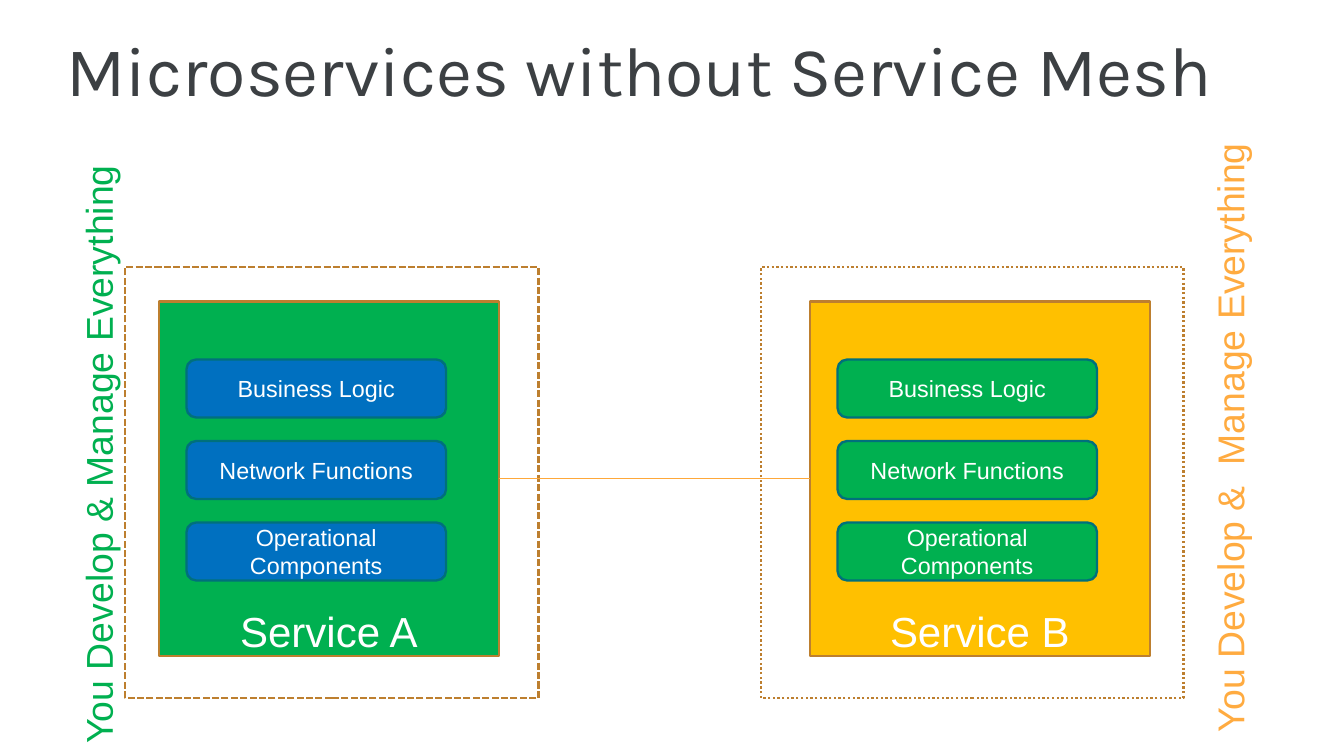
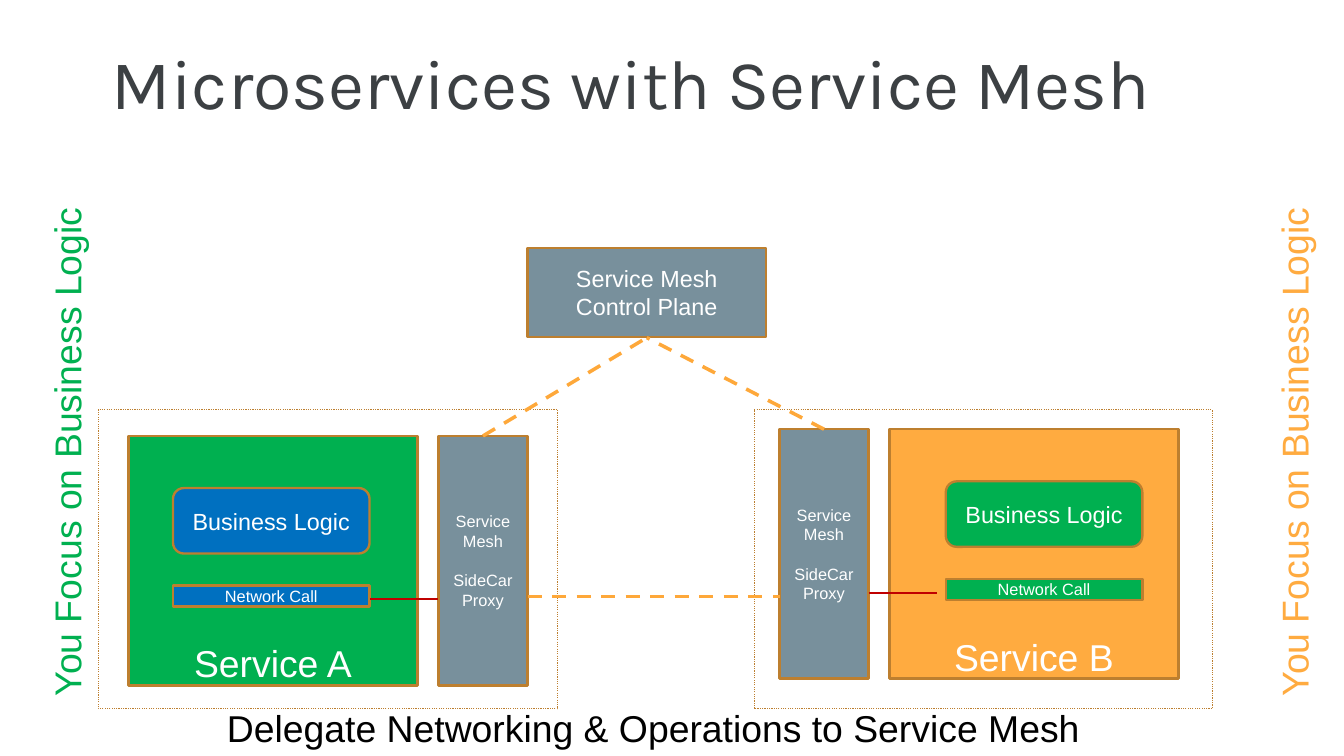
from dataclasses import dataclass
from typing import Optional

from lxml import etree
from pptx import Presentation
from pptx.dml.color import RGBColor
from pptx.enum import dml, shapes, text
from pptx.oxml import ns
from pptx.util import Inches, Pt

# Slide grid: lengths below are columns and rows
WIDTH, HEIGHT = Inches(16), Inches(9)
COLUMNS, ROWS = 160, 90

COLORS = {
    "white": "FFFFFF", "black": "000000", "title": "3C4043",
    "green": "00B050", "blue": "0070C0", "gold": "FFC000",
    "orange": "FFAB40", "slate": "78909C", "brown": "BD7F2F",
    "teal": "00707C", "link": "FEA83A", "red": "C00000",
}
TITLE_FONT, BODY_FONT = "Karla", "Arial"
RECT = shapes.MSO_SHAPE.RECTANGLE
ROUNDED = shapes.MSO_SHAPE.ROUNDED_RECTANGLE
DASH = dml.MSO_LINE.DASH
SYS_DOT, SYS_DASH = dml.MSO_LINE.ROUND_DOT, dml.MSO_LINE.SQUARE_DOT
MIDDLE, BOTTOM = text.MSO_ANCHOR.MIDDLE, text.MSO_ANCHOR.BOTTOM


@dataclass(frozen=True)
class Area:
    left: float
    top: float
    width: float
    height: float

    def emu(self) -> tuple[int, int, int, int]:
        return (across(self.left), down(self.top),
                across(self.width), down(self.height))


@dataclass(frozen=True)
class Box:
    area: Area
    fill: str
    label: str = ""
    size: float = 20
    outline: str = "brown"
    weight: float = 2
    dash: Optional[dml.MSO_LINE] = None
    kind: shapes.MSO_SHAPE = RECT
    anchor: text.MSO_ANCHOR = MIDDLE


@dataclass(frozen=True)
class Link:
    start: tuple[float, float]
    end: tuple[float, float]
    color: str = "link"
    weight: float = 3
    dash: Optional[dml.MSO_LINE] = None


@dataclass(frozen=True)
class Caption:
    area: Area
    label: str
    color: str
    upright: bool = True


@dataclass(frozen=True)
class Service:
    name: str
    left: float
    top: float
    fill: str
    task_fill: str
    task_left: float
    sidecar_left: float = 0


def across(columns: float) -> int:
    return round(WIDTH * columns / COLUMNS)


def down(rows: float) -> int:
    return round(HEIGHT * rows / ROWS)


def rgb(name: str) -> RGBColor:
    return RGBColor.from_string(COLORS[name])


def format_runs(frame, font: str, size: float, color: str, align) -> None:
    for paragraph in frame.paragraphs:
        paragraph.alignment = align
        for run in paragraph.runs:
            run.font.name, run.font.size = font, Pt(size)
            run.font.color.rgb = rgb(color)


def format_line(line, color: str, weight: float, dash) -> None:
    line.color.rgb = rgb(color)
    line.width = Pt(weight)
    if dash is not None:
        line.dash_style = dash


def draw_box(slide, box: Box):
    shape = slide.shapes.add_shape(box.kind, *box.area.emu())
    shape.shadow.inherit = False
    shape.fill.solid()
    shape.fill.fore_color.rgb = rgb(box.fill)
    format_line(shape.line, box.outline, box.weight, box.dash)
    if box.label:
        frame = shape.text_frame
        frame.word_wrap = True
        frame.vertical_anchor = box.anchor
        if box.anchor == BOTTOM:
            frame.margin_bottom = 0
        frame.text = box.label
        format_runs(frame, BODY_FONT, box.size, "white", text.PP_ALIGN.CENTER)
    return shape


def draw_link(slide, link: Link) -> None:
    (x1, y1), (x2, y2) = link.start, link.end
    connector = slide.shapes.add_connector(
        shapes.MSO_CONNECTOR.STRAIGHT, across(x1), down(y1), across(x2), down(y2))
    format_line(connector.line, link.color, link.weight, link.dash)
    etree.SubElement(connector._element.spPr, ns.qn("a:effectLst"))


def draw_caption(slide, caption: Caption) -> None:
    box = slide.shapes.add_textbox(*caption.area.emu())
    frame = box.text_frame
    frame.word_wrap = not caption.upright
    frame.auto_size = text.MSO_AUTO_SIZE.SHAPE_TO_FIT_TEXT
    frame.text = caption.label
    format_runs(frame, BODY_FONT, 32, caption.color, text.PP_ALIGN.CENTER)
    if caption.upright:
        box.rotation = 270


def add_titled_slide(deck, heading: str, area: Area):
    slide = deck.slides.add_slide(deck.slide_layouts[5])
    title = slide.shapes.title
    title.left, title.top, title.width, title.height = area.emu()
    frame = title.text_frame
    frame.margin_left = frame.margin_right = Inches(0.16)
    frame.margin_top = frame.margin_bottom = Inches(0.16)
    frame.vertical_anchor = text.MSO_ANCHOR.TOP
    frame.auto_size = text.MSO_AUTO_SIZE.NONE
    frame.word_wrap = True
    frame.text = heading
    format_runs(frame, TITLE_FONT, 60, "title", text.PP_ALIGN.LEFT)
    return slide


def draw_full_service(slide, service: Service) -> None:
    """A service that carries all of its functions itself."""
    draw_box(slide, Box(Area(service.left, service.top, 40.5, 42.2), service.fill,
                        service.name, 36, anchor=BOTTOM))
    tasks = ("Business Logic", "Network Functions", "Operational Components")
    for row, task in enumerate(tasks):
        area = Area(service.task_left, service.top + 6.9 + 9.7 * row, 30.9, 6.9)
        draw_box(slide, Box(area, service.task_fill, task, outline="teal",
                            kind=ROUNDED))


def draw_meshed_service(slide, service: Service) -> None:
    """A service with its sidecar proxy."""
    draw_box(slide, Box(Area(service.left, service.top, 34.4, 29.7), service.fill,
                        service.name, 32, anchor=BOTTOM))
    draw_box(slide, Box(Area(service.task_left, service.top + 6.2, 23.4, 7.8),
                        service.task_fill, "Business Logic", kind=ROUNDED))
    draw_box(slide, Box(Area(service.task_left, service.top + 17.8, 23.4, 2.5),
                        service.task_fill, "Network Call", 14))
    sidecar = draw_box(slide, Box(
        Area(service.sidecar_left, service.top, 10.6, 29.7), "slate",
        "Service Mesh\nSideCar\nProxy", 14))
    sidecar.text_frame.paragraphs[1].space_before = Pt(17)


def build_without_mesh(deck) -> None:
    slide = add_titled_slide(deck, "Microservices without Service Mesh",
                             Area(6.3, 1.5, 146.7, 15.7))
    # Service boundaries
    draw_box(slide, Box(Area(90.6, 31.8, 50.3, 51.3), "white", dash=SYS_DOT))
    draw_box(slide, Box(Area(14.9, 31.8, 49.2, 51.3), "white", dash=SYS_DASH))
    # Services and their link
    for service in (
        Service("Service A", 18.9, 35.9, "green", "blue", 22.2),
        Service("Service B", 96.4, 35.9, "gold", "green", 99.7),
    ):
        draw_full_service(slide, service)
    draw_link(slide, Link((59.4, 57), (96.4, 57), weight=0.75))
    # Side captions
    for caption in (
        Caption(Area(109.9, 48.9, 73, 6.4), "You Develop &  Manage Everything", "orange"),
        Caption(Area(-24.2, 50.9, 71.8, 6.4), "You Develop & Manage Everything", "green"),
    ):
        draw_caption(slide, caption)


def build_with_mesh(deck) -> None:
    slide = add_titled_slide(deck, "Microservices with Service Mesh",
                             Area(11.7, 3.1, 149.1 - 0.8, 10))
    # Service boundaries
    for left, width in ((89.8, 54.5), (11.7, 54.7)):
        draw_box(slide, Box(Area(left, 48.8, width, 35.6), "white",
                            weight=1, dash=SYS_DOT))
    # Services with sidecars, and the control plane
    for service in (
        Service("Service A", 15.3, 51.9, "green", "blue", 20.6, 52.2),
        Service("Service B", 105.9, 51.1, "orange", "green", 112.6, 92.8),
    ):
        draw_meshed_service(slide, service)
    draw_box(slide, Box(Area(62.8, 29.5, 28.4, 10.6), "slate",
                        "Service Mesh\nControl Plane"))
    # Links
    plane = (77, 40.2)
    for link in (
        Link((44.1, 71.3), (52.2, 71.3), "red", 1.5),
        Link((103.4, 70.6), (111.6, 70.6), "red", 1.5),
        Link((57.5, 51.9), plane, dash=DASH),
        Link((98.1, 51.1), plane, dash=DASH),
        Link((62.8, 71), (92.8, 71), dash=DASH),
    ):
        draw_link(slide, link)
    # Captions
    for left, color in ((-22.6, "green"), (123.5, "orange")):
        draw_caption(slide, Caption(Area(left, 50.6, 61.1, 6.4),
                                    "You Focus on Business Logic", color))
    draw_caption(slide, Caption(
        Area(8, 83.4, 139.7, 6.4),
        "Delegate Networking & Operations to Service Mesh", "black", upright=False))


def main() -> None:
    deck = Presentation()
    deck.slide_width, deck.slide_height = WIDTH, HEIGHT
    build_without_mesh(deck)
    build_with_mesh(deck)
    deck.save("out.pptx")


if __name__ == "__main__":
    main()
